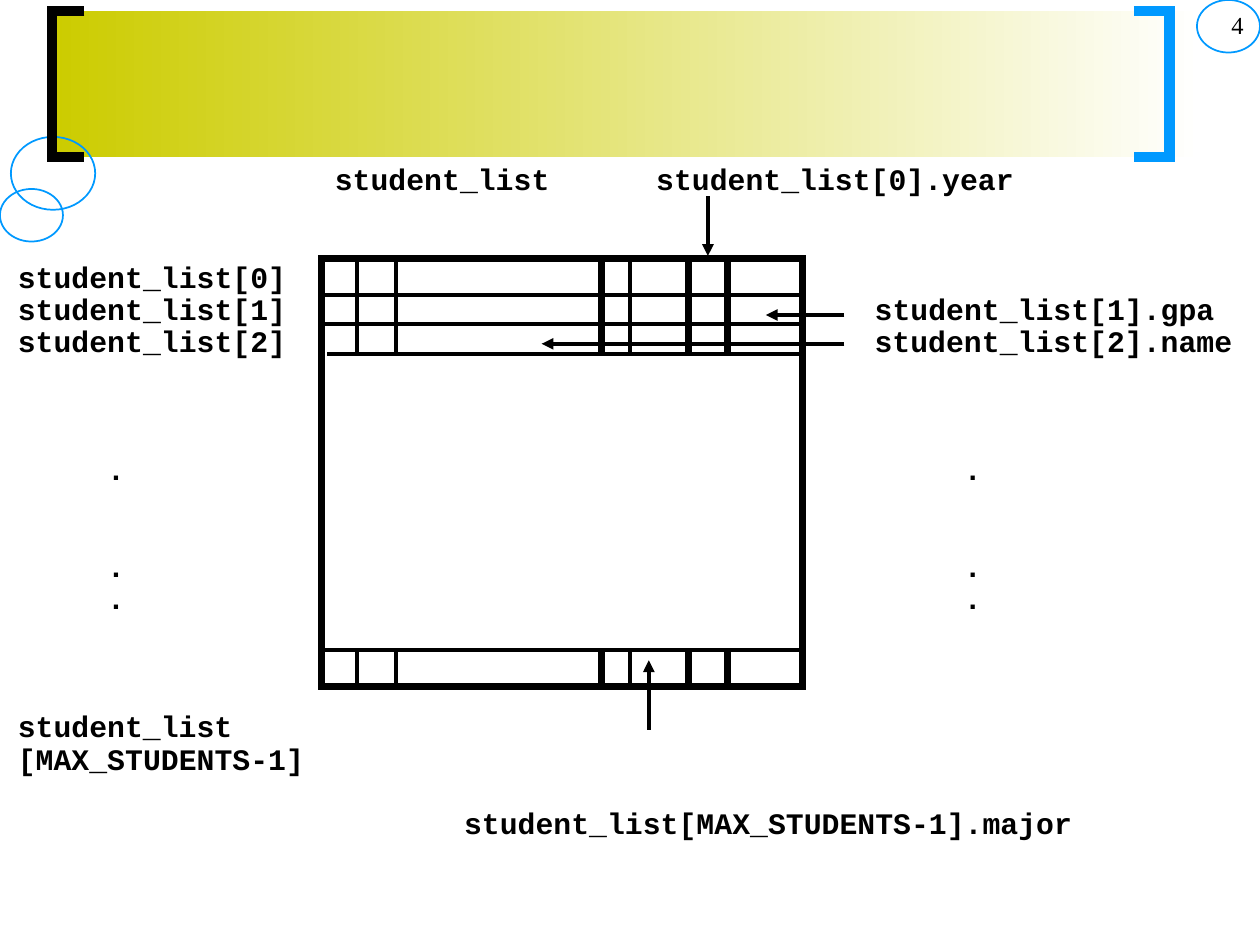
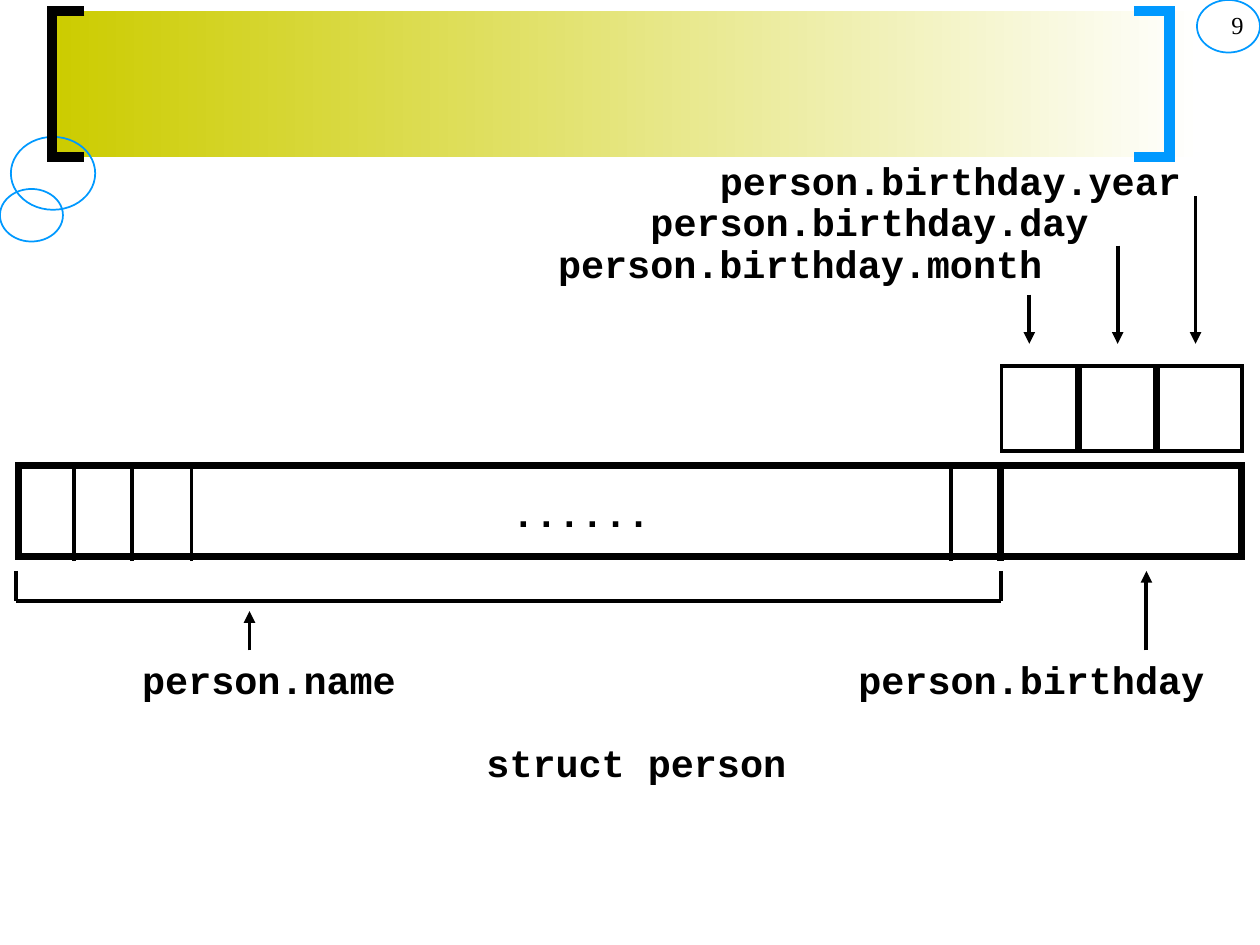
from pptx import Presentation
from pptx.dml.color import RGBColor
from pptx.enum.shapes import MSO_CONNECTOR, MSO_SHAPE
from pptx.enum.text import MSO_ANCHOR, PP_ALIGN
from pptx.oxml.ns import qn
from pptx.util import Cm, Pt
from lxml.etree import SubElement

COLORS = {"ink": "000000", "accent": "0099FF", "band": "CCCC00", "paper": "FFFFFF"}
CODE_FONT, NUMBER_FONT = "Courier New", "Times New Roman"
THIN, THICK = 2.25, 4

# Frame shared by all slides, in cm
BAND = (1.07, 0.22, 23.16, 2.95)
FOOTER = (0.42, 17.57, 9.1, 1.48)
CIRCLES = [(0.22, 2.76, 1.7, 1.47), (0, 3.81, 1.27, 1.06), (24.13, 0, 1.27, 1.06)]
BRACKETS = [  # tip x, spine x, colour
    (1.7, 1.05, "ink"),
    (22.86, 23.58, "accent"),
]

# Labels: (column, row, text) on a grid of monospaced characters.
# Boxes: (left, top, width, height, line width).
# Horizontals: (left, right, ys, line width).
# Verticals: (xs, top, bottom, line width).
# Arrows: (x1, y1, x2, y2).
ARRAY_SLIDE = {
    "number": "4",
    "size": 17,
    "origin": (0.36, 5.21),
    "labels": [
        (17.76, -3.05, "student_list"),
        (35.76, -3.05, "student_list[0].year"),
        (0, 0, "student_list[0]"),
        (0, 1, "student_list[1]"),
        (0, 2, "student_list[2]"),
        (48, 1, "student_list[1].gpa"),
        (48, 2, "student_list[2].name"),
        *[(col, row, ".") for col in (5, 53) for row in (6, 9, 10)],
        (0, 14, "student_list"),
        (0, 15, "[MAX_STUDENTS-1]"),
        (25, 17, "student_list[MAX_STUDENTS-1].major"),
    ],
    "boxes": [(6.48, 5.21, 9.7, 8.64, THICK)],
    "horizontals": [
        (6.48, 16.23, (5.94, 6.53, 13.11), THIN),
        (6.6, 16.23, (7.14,), THIN),
    ],
    "verticals": [
        (xs, top, bottom, width)
        for top, bottom in ((5.16, 7.14), (13.11, 13.89))
        for xs, width in (((7.19, 7.98, 12.7), THIN), ((12.12, 13.87, 14.66), THICK))
    ],
    "arrows": [
        (13.08, 14.71, 13.08, 13.31),
        (14.27, 3.96, 14.27, 5.16),
        (17.02, 6.35, 15.44, 6.35),
        (17.02, 6.93, 10.92, 6.93),
    ],
}
STRUCT_SLIDE = {
    "number": "9",
    "size": 22,
    "origin": (0.54, 3.16),
    "labels": [
        (30, 0, "person.birthday.year"),
        (27, 1, "person.birthday.day"),
        (23, 2, "person.birthday.month"),
        (21, 8, "......"),
        (5, 12, "person.name"),
        (36, 12, "person.birthday"),
        (19.9, 14, "struct person"),
    ],
    "boxes": [(0.38, 9.38, 24.64, 1.85, THICK), (20.19, 7.37, 4.85, 1.73, THIN)],
    "horizontals": [(0.33, 20.17, (12.12,), THIN)],
    "verticals": [
        ((20.17,), 9.38, 11.3, THICK),
        ((21.74, 23.32), 7.34, 9.12, THICK),
        ((1.5, 2.67, 3.86, 19.18), 9.38, 11.3, THIN),
        ((0.33, 20.17), 11.51, 12.12, THIN),
    ],
    "arrows": [
        (23.11, 13.11, 23.11, 11.51),
        (5.03, 13.11, 5.03, 12.32),
        (24.1, 3.96, 24.1, 6.93),
        (22.53, 4.95, 22.53, 6.93),
        (20.75, 5.94, 20.75, 6.93),
    ],
}


def rgb(name):
    return RGBColor.from_string(COLORS[name])


def add_text(s, text, left, top, width, height, *, size, font, bold=False, align=PP_ALIGN.LEFT):
    tf = s.shapes.add_textbox(left, top, width, height).text_frame
    tf.margin_left = tf.margin_right = tf.margin_top = tf.margin_bottom = 0
    tf.word_wrap = False
    tf.vertical_anchor = MSO_ANCHOR.TOP
    p = tf.paragraphs[0]
    p.alignment = align
    r = p.add_run()
    r.text = text
    r.font.name, r.font.size, r.font.bold = font, Pt(size), bold
    r.font.color.rgb = rgb("ink")


def outline(sp, color, width):
    """Leave a shape hollow, with only its sharp-cornered line."""
    sp.shadow.inherit = False
    sp.fill.background()
    sp.line.color.rgb = rgb(color)
    sp.line.width = Pt(width)
    SubElement(sp.line._get_or_add_ln(), qn("a:miter"), lim="800000")


def add_panel(s, place):
    """Add a rectangle without a line, ready to be filled."""
    sp = s.shapes.add_shape(MSO_SHAPE.RECTANGLE, *map(Cm, place))
    sp.shadow.inherit = False
    sp.line.fill.background()
    return sp


def add_line(s, x1, y1, x2, y2, width=THIN, arrow=False):
    line = s.shapes.add_connector(MSO_CONNECTOR.STRAIGHT, Cm(x1), Cm(y1), Cm(x2), Cm(y2))
    line.line.color.rgb = rgb("ink")
    line.line.width = Pt(width)
    if arrow:
        SubElement(line.line._get_or_add_ln(), qn("a:tailEnd"), type="triangle")
    SubElement(line._element.spPr, qn("a:effectLst"))


def add_frame(s, number):
    """Draw the gradient band, brackets, circles, footer and slide number."""
    band = add_panel(s, BAND)
    band.fill.gradient()
    band.fill.gradient_angle = 0
    for stop, position, color in zip(band.fill.gradient_stops, (0, 1), ("band", "paper")):
        stop.position = position
        stop.color.rgb = rgb(color)
    for circle in CIRCLES:
        outline(s.shapes.add_shape(MSO_SHAPE.OVAL, *map(Cm, circle)), "accent", 1)
    top, bottom = Cm(BAND[1]), Cm(BAND[1] + BAND[3])
    for tip, spine, color in BRACKETS:
        builder = s.shapes.build_freeform(Cm(tip), top)
        builder.add_line_segments(
            [(Cm(spine), top), (Cm(spine), bottom), (Cm(tip), bottom)], close=False)
        outline(builder.convert_to_shape(), color, 6)
    footer = add_panel(s, FOOTER)
    footer.fill.solid()
    footer.fill.fore_color.rgb = rgb("paper")
    add_text(s, number, Cm(20.04), Cm(0.2), Cm(5.03), Cm(1), size=14,
             font=NUMBER_FONT, align=PP_ALIGN.RIGHT)


def add_diagram(s, diagram):
    size = diagram["size"]
    char_width, row_height = Pt(size * 0.6), Pt(size * 1.08)
    left, top = map(Cm, diagram["origin"])
    for col, row, text in diagram["labels"]:
        add_text(s, text, left + round(col * char_width), top + round(row * row_height),
                 (len(text) + 1) * char_width, row_height, size=size, font=CODE_FONT, bold=True)
    for *place, width in diagram["boxes"]:
        outline(s.shapes.add_shape(MSO_SHAPE.RECTANGLE, *map(Cm, place)), "ink", width)
    for x1, x2, ys, width in diagram["horizontals"]:
        for y in ys:
            add_line(s, x1, y, x2, y, width)
    for xs, y1, y2, width in diagram["verticals"]:
        for x in xs:
            add_line(s, x, y1, x, y2, width)
    for ends in diagram["arrows"]:
        add_line(s, *ends, arrow=True)


def main():
    prs = Presentation()
    prs.slide_width, prs.slide_height = Cm(25.4), Cm(19.05)
    for diagram in (ARRAY_SLIDE, STRUCT_SLIDE):
        s = prs.slides.add_slide(prs.slide_layouts[6])
        add_frame(s, diagram["number"])
        add_diagram(s, diagram)
    prs.save("out.pptx")


if __name__ == "__main__":
    main()
